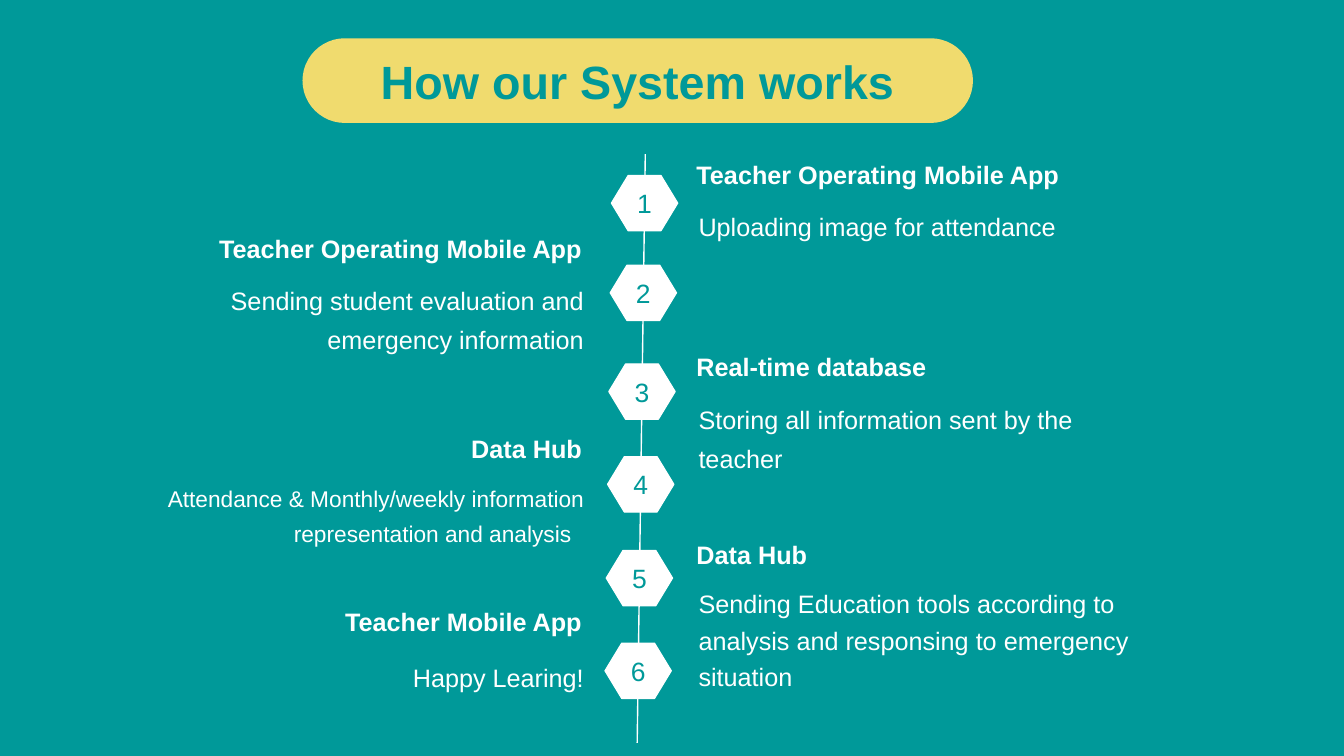
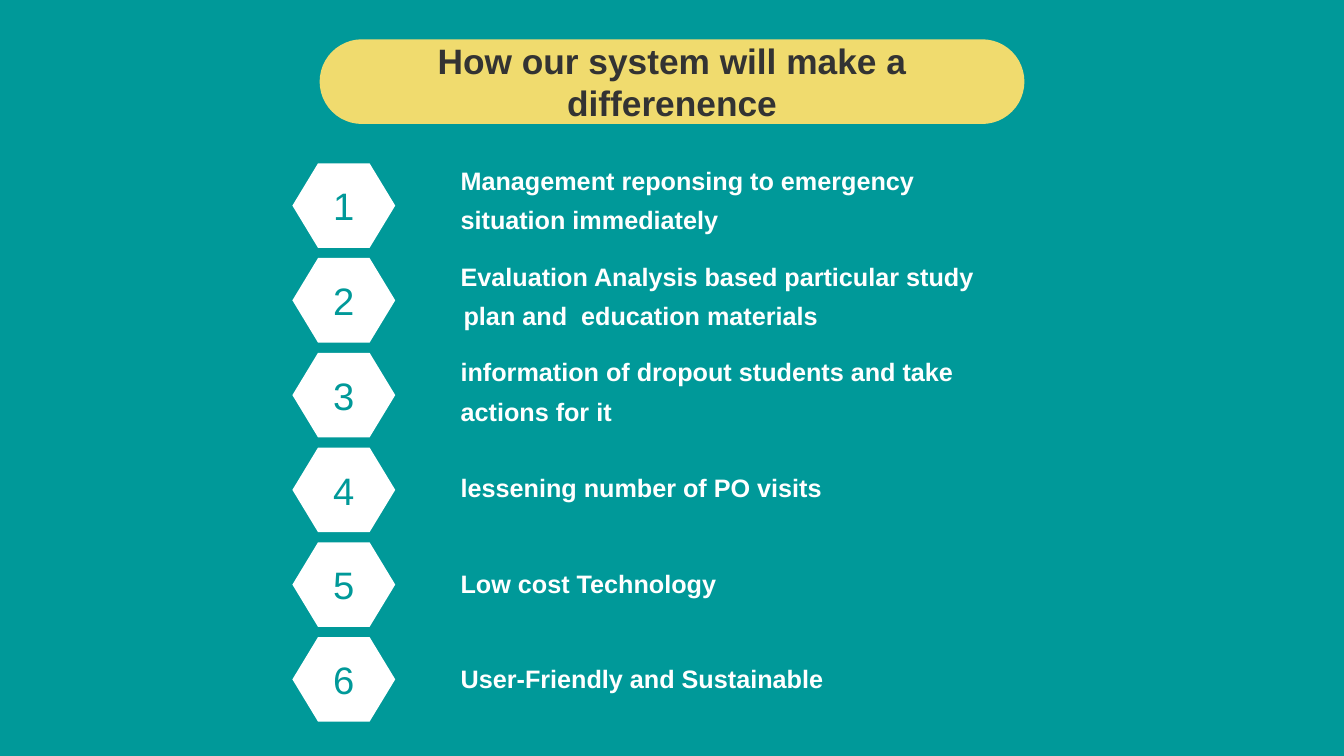
from pptx import Presentation
from pptx.dml.color import RGBColor
from pptx.enum.shapes import MSO_CONNECTOR, MSO_SHAPE
from pptx.enum.text import MSO_ANCHOR as Anchor, MSO_AUTO_SIZE as AutoSize, PP_ALIGN as Align
from pptx.oxml.ns import qn
from pptx.util import Inches, Pt
from lxml.etree import SubElement

COLORS = {"teal": "009999", "yellow": "F0DB6E", "white": "FFFFFF", "dark": "333333"}
FONT = "Arial"
TITLE_ONLY = 5

# Hexagon top, side, heading, heading top, detail, detail top, detail size, detail line spacing
STEPS = [
    (1.74, "right", "Teacher Operating Mobile App", 1.57,
     "Uploading image for attendance", 1.96, 18, 1.3),
    (2.63, "left", "Teacher Operating Mobile App", 2.3,
     "Sending student evaluation and emergency information", 2.69, 18, 1.3),
    (3.61, "right", "Real-time database", 3.47,
     "Storing all information sent by the teacher", 3.87, 18, 1.3),
    (4.53, "left", "Data Hub", 4.28,
     "Attendance & Monthly/weekly information representation and analysis  ", 4.68, 16.2, 1.3),
    (5.46, "right", "Data Hub", 5.34,
     "Sending Education tools according to analysis and responsing to emergency situation",
     5.73, 18, 1.2),
    (6.38, "left", "Teacher Mobile App", 6.0,
     "Happy Learing!", 6.43, 18, 1.3),
]
SIDES = {"left": (1.31, 4.56, Align.RIGHT), "right": (6.81, 4.7, Align.LEFT)}
AXIS_START, AXIS_END = (6.4, 1.53), (6.32, 7.37)

# Benefit and its hanging indent
BENEFITS = [
    ("Management reponsing to emergency situation immediately", 0),
    ("Evaluation Analysis based particular study plan and  education materials", 0.03),
    ("information of dropout students and take actions for it", 0),
    ("lessening number of PO visits", 0),
    ("Low cost Technology", 0),
    ("User-Friendly and Sustainable", 0),
]


def color(name):
    return RGBColor.from_string(COLORS[name])


def write(shape, text, size=18, ink="white", bold=False, align=Align.LEFT,
          anchor=Anchor.TOP, spacing=1.0, before=0, hanging=0, insets=(0.1, 0.05)):
    frame = shape.text_frame
    frame.word_wrap = True
    frame.auto_size = AutoSize.NONE
    frame.vertical_anchor = anchor
    frame.margin_left = frame.margin_right = Inches(insets[0])
    frame.margin_top = frame.margin_bottom = Inches(insets[1])
    para = frame.paragraphs[0]
    para.alignment = align
    para.line_spacing = spacing
    para.space_before = Pt(before)
    if hanging:
        properties = para._p.get_or_add_pPr()
        properties.set("marL", str(Inches(hanging)))
        properties.set("indent", str(-Inches(hanging)))
    span = para.add_run()
    span.text = text
    span.font.name = FONT
    span.font.size = Pt(size)
    span.font.bold = bold
    span.font.color.rgb = color(ink)


def add_text(page, left, top, width, height, text, **style):
    box = page.shapes.add_textbox(*map(Inches, (left, top, width, height)))
    write(box, text, **style)


def add_filled(page, kind, area, fill, adjustment):
    shape = page.shapes.add_shape(kind, *map(Inches, area))
    shape.adjustments[0] = adjustment
    shape.shadow.inherit = False
    shape.fill.solid()
    shape.fill.fore_color.rgb = color(fill)
    shape.line.fill.background()
    return shape


def add_hexagon(page, left, top, width, height, number, size):
    hexagon = add_filled(page, MSO_SHAPE.HEXAGON, (left, top, width, height), "white", 0.303)
    write(hexagon, str(number), size=size, ink="teal", align=Align.CENTER,
          anchor=Anchor.MIDDLE, insets=(0, 0))
    return hexagon


def add_page(deck, title, left, top, width, size, ink):
    """Add a slide whose title sits on a yellow pill."""
    page = deck.slides.add_slide(deck.slide_layouts[TITLE_ONLY])
    area = (left, top, width, 0.84)
    pill = add_filled(page, MSO_SHAPE.ROUNDED_RECTANGLE, area, "yellow", 0.5)
    heading = page.shapes.title
    heading._element.addprevious(pill._element)
    heading.left, heading.top, heading.width, heading.height = map(Inches, area)
    write(heading, title, size=size, ink=ink, bold=True, align=Align.CENTER,
          anchor=Anchor.MIDDLE, insets=(0.3, 0))
    return page


def add_timeline(page):
    axis = page.shapes.add_connector(
        MSO_CONNECTOR.STRAIGHT, *map(Inches, AXIS_START + AXIS_END))
    axis.line.color.rgb = color("white")
    axis.line.width = Pt(1)
    SubElement(axis._element.spPr, qn("a:effectLst"))

    width, height = 0.66, 0.55
    slope = (AXIS_END[0] - AXIS_START[0]) / (AXIS_END[1] - AXIS_START[1])
    for number, step in enumerate(STEPS, 1):
        top, side, heading, heading_top, detail, detail_top, size, spacing = step
        center = AXIS_START[0] + slope * (top + height / 2 - AXIS_START[1])
        hexagon = add_hexagon(page, center - width / 2, top, width, height, number, 18.9)
        hexagon.line.color.rgb = color("white")
        hexagon.line.width = Pt(0.75)

        left, text_width, align = SIDES[side]
        add_text(page, left, heading_top, text_width, 0.44, heading,
                 bold=True, align=align, spacing=0.9)
        add_text(page, left + 0.02, detail_top, text_width, 1, detail,
                 size=size, align=align, spacing=spacing)


def add_benefits(page):
    for row, (benefit, hanging) in enumerate(BENEFITS):
        add_hexagon(page, 2.9, 1.62 + 0.94 * row, 1.02, 0.84, row + 1, 27.3)
        add_text(page, 4.47, 1.46 + 0.95 * row, 5.68, 0.96, benefit, bold=True,
                 anchor=Anchor.MIDDLE, spacing=1.3, before=3.6, hanging=hanging)


def main():
    deck = Presentation()
    deck.slide_width, deck.slide_height = Inches(13.33), Inches(7.5)
    background = deck.slide_master.background.fill
    background.solid()
    background.fore_color.rgb = color("teal")

    add_timeline(add_page(deck, "How our System works", 3, 0.38, 6.65, 33.3, "teal"))
    add_benefits(add_page(deck, "How our system will make a differenence",
                          3.17, 0.39, 6.99, 25.2, "dark"))
    deck.save("out.pptx")


if __name__ == "__main__":
    main()
